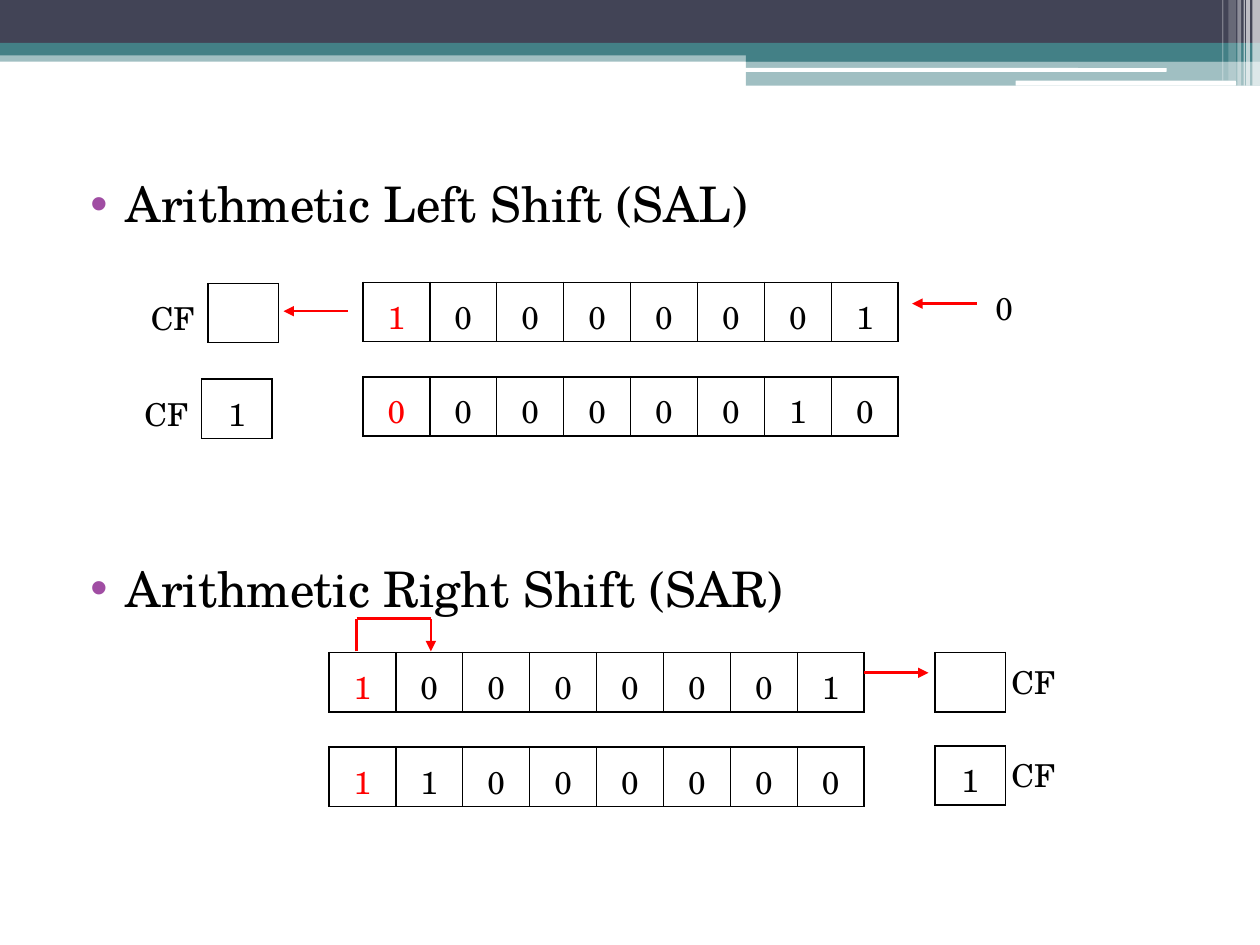
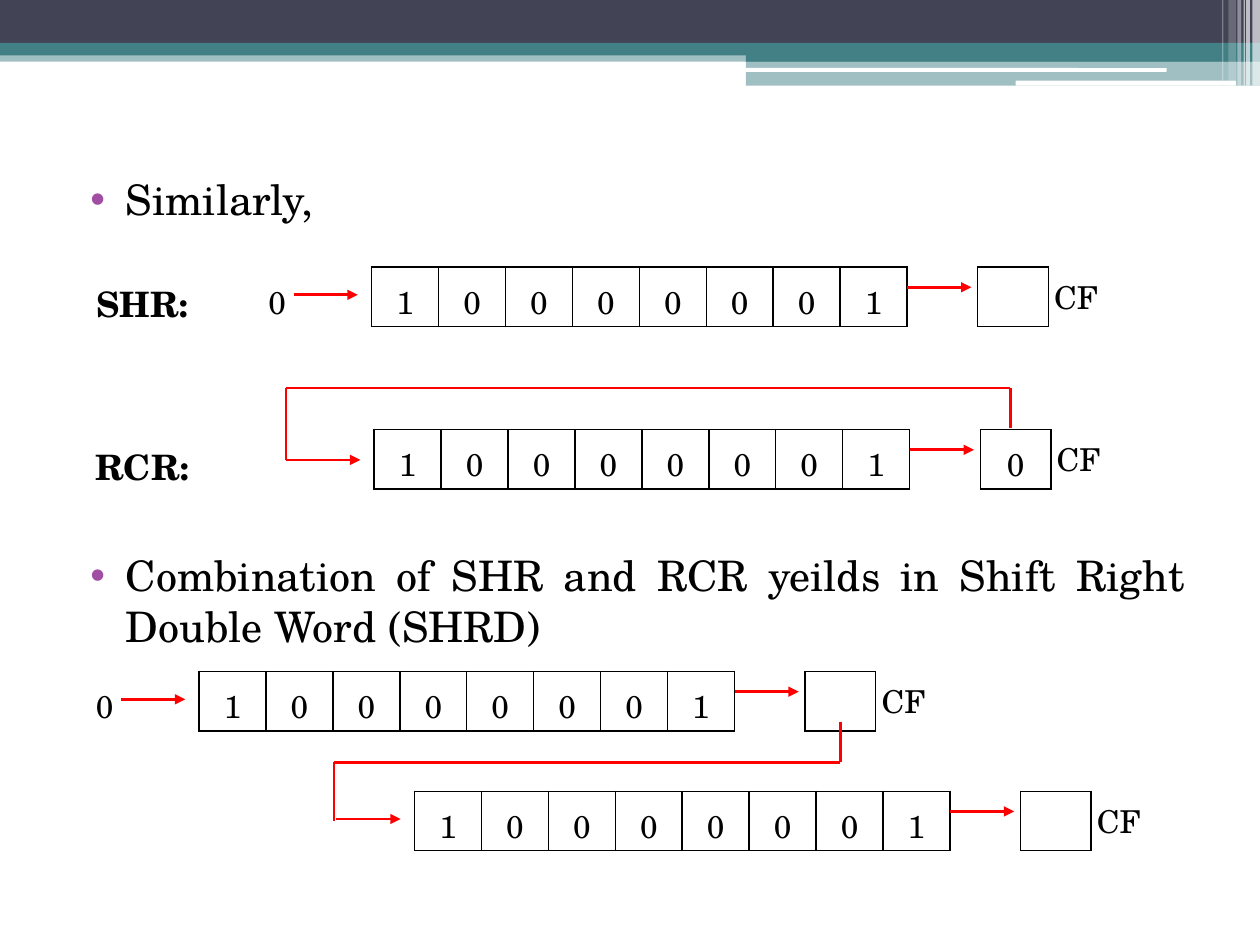
from lxml import etree
from pptx import Presentation
from pptx import util as u
from pptx.dml.color import RGBColor
from pptx.enum import shapes, text
from pptx.oxml import ns

FONT = "TeX Gyre Schola"
BLACK = RGBColor(0, 0, 0)
WHITE = RGBColor(255, 255, 255)
RED = RGBColor(255, 0, 0)
NAVY = RGBColor(0x42, 0x44, 0x56)
TEAL = RGBColor(0x43, 0x80, 0x86)
PURPLE = RGBColor(0xA0, 0x4D, 0xA3)

RECT = shapes.MSO_SHAPE.RECTANGLE
ROUND = shapes.MSO_SHAPE.ROUNDED_RECTANGLE
CENTER = text.PP_ALIGN.CENTER
LEFT = text.PP_ALIGN.LEFT
FULL = text.PP_ALIGN.JUSTIFY

WORD = 4.25
BOX = 0.56
ROW = 0.41
ONE = "10000001"
BANDS = [
    (RECT, 0, 0.4, 10, 0.09, TEAL, 50),
    (RECT, 0, 0, 10, 0.34, NAVY, 100),
    (RECT, 0, 0.34, 10, 0.1, TEAL, 100),
    (RECT, 5.92, 0.39, 4.08, 0.1, TEAL, 100),
    (RECT, 5.92, 0.48, 4.08, 0.2, TEAL, 50),
    (ROUND, 5.91, 0.54, 3.35, 0.03, WHITE, 100),
    (ROUND, 8.06, 0.64, 1.75, 0.04, WHITE, 100),
    (RECT, 9.94, 0, 0.06, 0.68, WHITE, 65),
    (RECT, 9.89, 0, 0.03, 0.68, WHITE, 65),
    (RECT, 9.87, 0, 0.01, 0.68, WHITE, 60),
    (RECT, 9.82, 0, 0.03, 0.68, WHITE, 40),
    (RECT, 9.75, 0, 0.06, 0.64, WHITE, 20),
    (RECT, 9.7, 0, 0.01, 0.64, WHITE, 30),
]


def node(home, tag, **attrs):
    return etree.SubElement(home, ns.qn(tag), **attrs)


def write(para, words, size=18, color=BLACK, bold=False, align=CENTER):
    para.alignment = align
    if words:
        run = para.add_run()
        run.text = words
        run.font.name = FONT
        run.font.size = u.Pt(size)
        run.font.bold = bold
        run.font.color.rgb = color


class Deck:
    def __init__(self):
        self.show = Presentation()
        self.show.slide_width = u.Inches(10)
        self.show.slide_height = u.Inches(7.5)

    def page(self):
        self.slide = self.show.slides.add_slide(self.show.slide_layouts[6])
        for band in BANDS:
            self.band(*band)

    def band(self, kind, x, y, w, h, color, alpha):
        shape = self.slide.shapes.add_shape(kind, *map(u.Inches, (x, y, w, h)))
        shape.shadow.inherit = False
        shape.line.fill.background()
        shape.fill.solid()
        shape.fill.fore_color.rgb = color
        if alpha < 100:
            tint = shape.fill._xPr.find(".//" + ns.qn("a:srgbClr"))
            node(tint, "a:alpha", val=str(alpha * 1000))

    def points(self, items, size):
        box = self.slide.shapes.add_textbox(*map(u.Inches, (0.5, 1.33, 9, 5.86)))
        frame = box.text_frame
        frame.word_wrap = True
        for i, (words, align) in enumerate(items):
            para = frame.add_paragraph() if i else frame.paragraphs[0]
            write(para, words, size=size, align=align)
            para.space_before = u.Pt(186 if i else 3)
            props = para._p.get_or_add_pPr()
            props.set("marL", str(u.Inches(0.4)))
            props.set("indent", str(u.Inches(-0.28)))
            node(node(props, "a:buClr"), "a:srgbClr", val=str(PURPLE))
            node(props, "a:buFont", typeface="Arial")
            node(props, "a:buChar", char="•")

    def grid(self, x, y, cells, w, edge=True, first=BLACK, **style):
        frame = self.slide.shapes.add_table(
            1, len(cells), *map(u.Inches, (x, y, w, ROW)))
        table = frame.table
        table.first_row = table.horz_banding = False
        for i, words in enumerate(cells):
            table.columns[i].width = u.Inches(w / len(cells))
            cell = table.cell(0, i)
            cell.margin_top = u.Inches(0.09)
            cell.margin_bottom = u.Inches(0.08)
            props = cell._tc.get_or_add_tcPr()
            for side in "LRTB":
                line = node(props, "a:ln" + side, w=str(u.Pt(1)))
                if edge:
                    node(node(line, "a:solidFill"), "a:srgbClr", val=str(BLACK))
                else:
                    node(line, "a:noFill")
            cell.fill.background()
            write(cell.text_frame.paragraphs[0], words,
                  color=BLACK if i else first, **style)

    def word(self, x, y, bits, first=BLACK):
        self.grid(x, y, bits, WORD, first=first)

    def flag(self, x, y, bit=""):
        self.grid(x, y, [bit], BOX)

    def label(self, x, y, words, w=BOX, **style):
        self.grid(x, y, [words], w, edge=False, **style)

    def line(self, *ends, head=False):
        link = self.slide.shapes.add_connector(
            shapes.MSO_CONNECTOR.STRAIGHT, *map(u.Inches, ends))
        link.line.color.rgb = RED
        link.line.width = u.Pt(1.5)
        if head:
            node(link.line._ln, "a:tailEnd", type="triangle")
        node(link._element.spPr, "a:effectLst")

    def carry(self, x, y, bit="", head=True):
        self.flag(x + 4.81, y, bit)
        self.label(x + 5.31, y - 0.04, "CF")
        if head:
            self.line(x + WORD, y + 0.16, x + 4.76, y + 0.16, head=True)

    def feed(self, x, y, bit=""):
        if bit:
            self.label(x - 1.03, y, bit)
        self.line(x - 0.62, y + 0.22, x - 0.11, y + 0.22, head=True)

    def trail(self, *spots, head=False):
        last = len(spots) - 2
        for i, (a, b) in enumerate(zip(spots, spots[1:])):
            self.line(*a, *b, head=head and i == last)


deck = Deck()

deck.page()
deck.points([("Arithmetic Left Shift (SAL)", LEFT),
             ("Arithmetic Right Shift (SAR)", LEFT)], 28)
deck.word(2.88, 2.24, ONE, RED)
deck.word(2.88, 2.99, "00000010", RED)
deck.label(7.69, 2.17, "0")
deck.line(7.75, 2.41, 7.24, 2.41, head=True)
deck.line(2.76, 2.47, 2.25, 2.47, head=True)
for x, y, bit in [(1.65, 2.25, ""), (1.6, 3.01, "1")]:
    deck.flag(x, y, bit)
    deck.label(x - BOX, y, "CF")
deck.word(2.61, 5.18, ONE, RED)
deck.carry(2.61, 5.18)
deck.word(2.61, 5.93, "11000000", RED)
deck.carry(2.61, 5.92, "1", head=False)
deck.trail((2.83, 5.17), (2.83, 4.91), (3.42, 4.91), (3.42, 5.17), head=True)

deck.page()
deck.points([("Similarly,", LEFT),
             ("Combination of SHR and RCR yeilds in Shift Right "
              "Double Word (SHRD)", FULL)], 24)
for y, name in [(2.1, "SHR:"), (3.4, "RCR:")]:
    deck.label(0.5, y, name, w=1.26, size=20, bold=True)
for x, y, bit in [(2.95, 2.12, ""), (2.97, 3.41, "0"),
                  (1.58, 5.33, ""), (3.29, 6.28, "")]:
    deck.word(x, y, ONE)
    deck.carry(x, y, bit)
deck.feed(2.95, 2.12, "0")
deck.feed(1.58, 5.33, "0")
deck.feed(3.29, 6.28)
deck.trail((8.02, 3.4), (8.02, 3.08), (2.27, 3.08), (2.27, 3.65),
           (2.86, 3.65), head=True)
deck.trail((6.67, 5.73), (6.67, 6.05), (2.65, 6.05), (2.65, 6.52))

deck.show.save("out.pptx")
